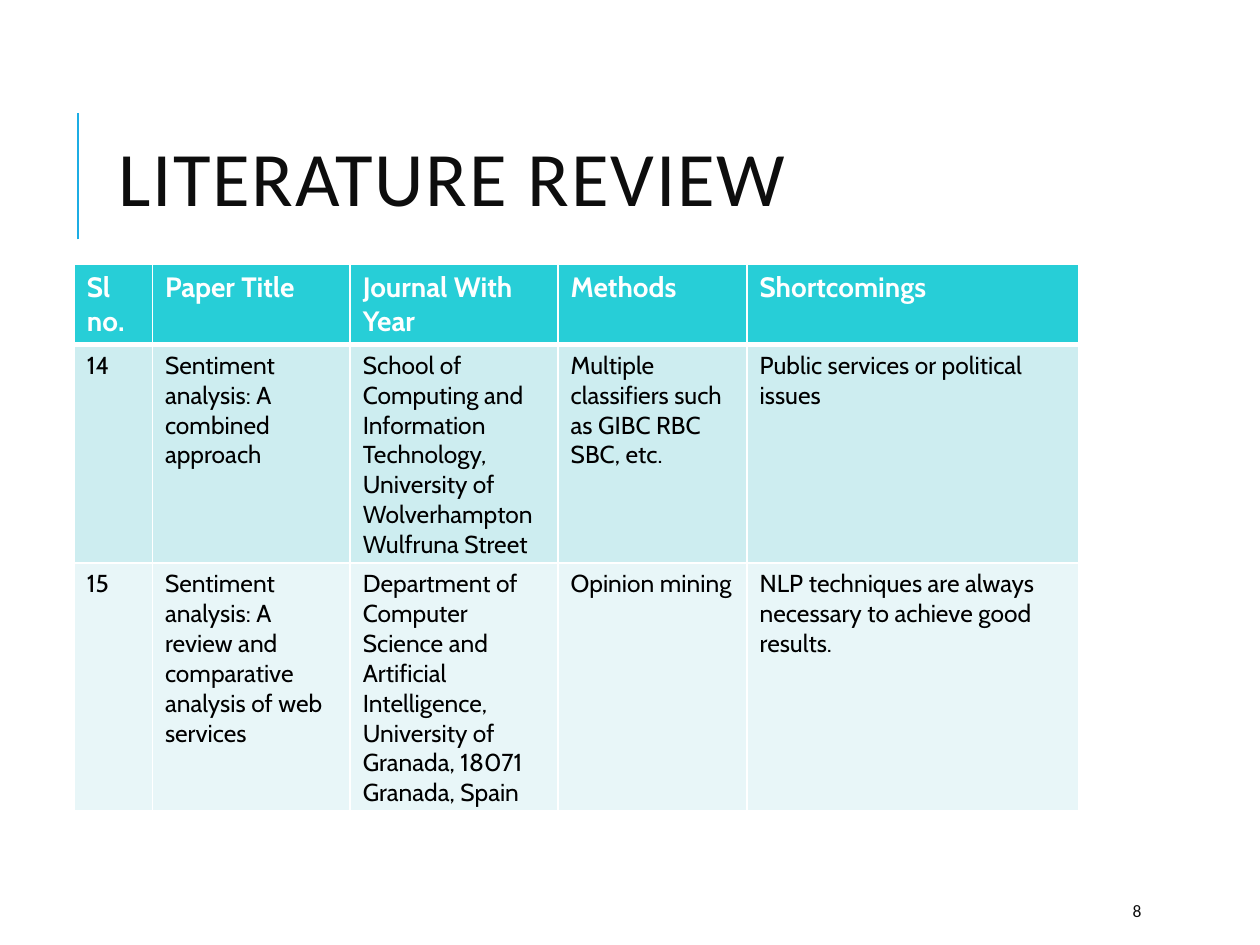
from dataclasses import dataclass

from lxml import etree
from pptx import Presentation
from pptx import util as u
from pptx.dml.color import RGBColor
from pptx.enum import shapes, text
from pptx.oxml import ns


@dataclass(frozen=True)
class Theme:
    accent: str = "1CADE4"
    ink: str = "0D0D0D"
    white: str = "FFFFFF"
    black: str = "000000"
    header_fill: str = "27CED7"
    odd_fill: str = "CDEDF0"
    even_fill: str = "E8F6F8"
    heading_font: str = "Calibri"
    table_font: str = "Cabin"
    title_size: int = 44
    header_size: int = 16
    body_size: int = 14
    number_size: int = 10


@dataclass(frozen=True)
class Label:
    words: str
    left: float
    top: float
    width: float
    height: float
    size: int
    line_spacing: float = 1.0
    tracking: int = 0


@dataclass(frozen=True)
class RowStyle:
    fill: str
    color: str
    size: int
    bold: bool
    bottom_border: int


THEME = Theme()
LABELS = (
    Label("LITERATURE REVIEW", 0.84, 0.64, 7.97, 1.64, THEME.title_size, 0.8, 100),
    Label("8", 8.89, 7.08, 0.8, 0.3, THEME.number_size),
)
ROW_STYLES = (
    RowStyle(THEME.header_fill, THEME.white, THEME.header_size, True, 3),
    RowStyle(THEME.odd_fill, THEME.black, THEME.body_size, False, 1),
    RowStyle(THEME.even_fill, THEME.black, THEME.body_size, False, 1),
)
COLUMN_WIDTHS = (0.62, 1.57, 1.65, 1.5, 2.63)
ROW_HEIGHT = 0.41
PAPERS = (
    ("Sl no.", "Paper Title", "Journal With Year", "Methods", "Shortcomings"),
    (
        "14",
        "Sentiment analysis: A combined approach",
        "School of Computing and Information Technology, "
        "University of Wolverhampton Wulfruna Street",
        "Multiple classifiers such as GIBC RBC SBC, etc.",
        "Public services or political issues",
    ),
    (
        "15",
        "Sentiment analysis: A review and comparative analysis of web services",
        "Department of Computer Science and Artificial Intelligence, "
        "University of Granada, 18071 Granada, Spain",
        "Opinion mining",
        "NLP techniques are always necessary to achieve good results.",
    ),
)


def format_run(run, font: str, size: int, color: str, bold: bool = False) -> None:
    run.font.name = font
    run.font.size = u.Pt(size)
    run.font.bold = bold
    run.font.color.rgb = RGBColor.from_string(color)


def draw_title_rule(slide) -> None:
    rule = slide.shapes.add_connector(
        shapes.MSO_CONNECTOR.STRAIGHT,
        u.Inches(0.62), u.Inches(1.9), u.Inches(0.62), u.Inches(0.9),
    )
    rule.line.color.rgb = RGBColor.from_string(THEME.accent)
    rule.line.width = u.Pt(1.5)
    properties = rule.element.find(ns.qn("p:spPr"))
    etree.SubElement(properties, ns.qn("a:effectLst"))


def draw_label(slide, label: Label) -> None:
    box = slide.shapes.add_textbox(
        u.Inches(label.left), u.Inches(label.top),
        u.Inches(label.width), u.Inches(label.height),
    )
    frame = box.text_frame
    frame.word_wrap = True
    frame.vertical_anchor = text.MSO_ANCHOR.MIDDLE
    frame.text = label.words
    paragraph = frame.paragraphs[0]
    paragraph.line_spacing = label.line_spacing
    run = paragraph.runs[0]
    format_run(run, THEME.heading_font, label.size, THEME.ink)
    if label.tracking:
        run.font._element.set("spc", str(label.tracking))


def set_borders(cell, bottom_width: int) -> None:
    properties = cell._tc.get_or_add_tcPr()
    widths = {"lnL": 1, "lnR": 1, "lnT": 1, "lnB": bottom_width}
    for position, (edge, width) in enumerate(widths.items()):
        line = etree.Element(ns.qn(f"a:{edge}"), w=str(u.Pt(width)))
        fill = etree.SubElement(line, ns.qn("a:solidFill"))
        etree.SubElement(fill, ns.qn("a:srgbClr"), val=THEME.white)
        properties.insert(position, line)


def draw_cell(cell, words: str, style: RowStyle) -> None:
    cell.text = words
    run = cell.text_frame.paragraphs[0].runs[0]
    format_run(run, THEME.table_font, style.size, style.color, style.bold)
    cell.fill.solid()
    cell.fill.fore_color.rgb = RGBColor.from_string(style.fill)
    set_borders(cell, style.bottom_border)


def draw_papers(slide) -> None:
    frame = slide.shapes.add_table(
        len(PAPERS), len(COLUMN_WIDTHS),
        u.Inches(0.59), u.Inches(2.1), u.Inches(7.97), u.Inches(4.1),
    )
    table = frame.table
    for column, width in zip(table.columns, COLUMN_WIDTHS):
        column.width = u.Inches(width)
    for row, paper, style in zip(table.rows, PAPERS, ROW_STYLES):
        row.height = u.Inches(ROW_HEIGHT)
        for cell, words in zip(row.cells, paper):
            draw_cell(cell, words, style)


def main() -> None:
    presentation = Presentation()
    presentation.slide_width = u.Inches(10)
    presentation.slide_height = u.Inches(7.5)
    slide = presentation.slides.add_slide(presentation.slide_layouts[6])
    draw_title_rule(slide)
    for label in LABELS:
        draw_label(slide, label)
    draw_papers(slide)
    presentation.save("out.pptx")


if __name__ == "__main__":
    main()
